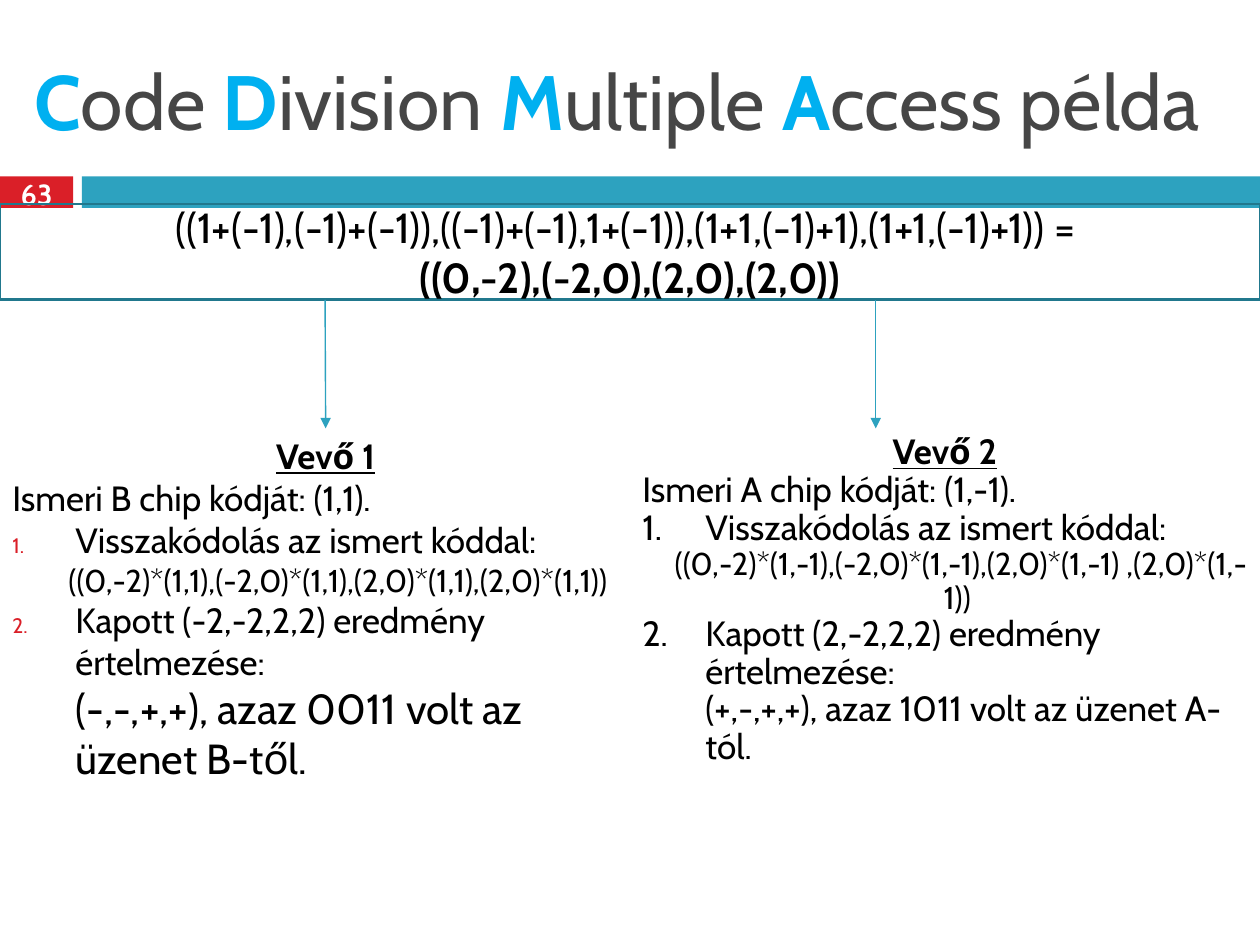
import pptx
import pptx.util
import pptx.dml.color
import pptx.enum.shapes
import pptx.enum.text
import pptx.oxml.ns
import lxml.etree

WIDTH, HEIGHT = 10, 7.5
FONT = "Cabin"
COLORS = {"accent": "2DA2BF", "edge": "21788D", "red": "DA1F28", "title": "464646",
          "initial": "00B0F0", "text": "000000", "white": "FFFFFF"}
ALIGN = pptx.enum.text.PP_ALIGN
ANCHOR = pptx.enum.text.MSO_ANCHOR
RECT = pptx.enum.shapes.MSO_SHAPE.RECTANGLE
inch = pptx.util.Inches

RECEIVERS = [
    {"box": (0, 3.4, 5.17, 3.85), "arrow": 2.58, "hang": -0.35, "spacing": None,
     "bullet": "red", "result_size": 24,
     "lines": ["Vevő 1", "Ismeri B chip kódját: (1,1).", "Visszakódolás az ismert kóddal:",
               "((0,-2)*(1,1),(-2,0)*(1,1),(2,0)*(1,1),(2,0)*(1,1)) ",
               "Kapott (-2,-2,2,2) eredmény értelmezése:",
               "(-,-,+,+), azaz 0011 volt az üzenet B-től."]},
    {"box": (5, 3.4, 5, 3.85), "arrow": 6.95, "hang": -0.25, "spacing": 0.9,
     "bullet": None, "result_size": 20,
     "lines": ["Vevő 2", "Ismeri A chip kódját: (1,-1).", "Visszakódolás az ismert kóddal:",
               "((0,-2)*(1,-1),(-2,0)*(1,-1),(2,0)*(1,-1) ,(2,0)*(1,-1)) ",
               "Kapott (2,-2,2,2) eredmény értelmezése:",
               "(+,-,+,+), azaz 1011 volt az üzenet A-tól."]},
]


def rgb(name):
    """Return the named colour."""
    return pptx.dml.color.RGBColor.from_string(COLORS[name])


def sub(parent, tag, **attrs):
    """Append a DrawingML element to its parent."""
    return lxml.etree.SubElement(parent, pptx.oxml.ns.qn(tag), attrs)


def add_run(p, text, size, color="text", bold=False, underline=False):
    """Add one formatted run to a paragraph."""
    r = p.add_run()
    r.text = text
    r.font.name, r.font.size = FONT, pptx.util.Pt(size)
    r.font.bold, r.font.underline = bold, underline
    r.font.color.rgb = rgb(color)


def set_indent(p, left, first, bullet=None, numbered=False):
    """Set paragraph indents and optional automatic numbering."""
    pPr = p._p.get_or_add_pPr()
    pPr.set("marL", str(inch(left)))
    pPr.set("indent", str(inch(first)))
    if not numbered:
        sub(pPr, "a:buNone")
        return
    if bullet:
        sub(sub(pPr, "a:buClr"), "a:srgbClr", val=COLORS[bullet])
        sub(pPr, "a:buSzPct", val="60000")
    sub(pPr, "a:buFont", typeface="+mj-lt")
    sub(pPr, "a:buAutoNum", type="arabicPeriod")


def add_rect(s, box, fill=None, line=None):
    """Add a plain rectangle."""
    sp = s.shapes.add_shape(RECT, *map(inch, box))
    sp.shadow.inherit = False
    if fill:
        sp.fill.solid()
        sp.fill.fore_color.rgb = rgb(fill)
    else:
        sp.fill.background()
    if line:
        sp.line.color.rgb, sp.line.width = rgb(line), pptx.util.Pt(1.5)
    else:
        sp.line.fill.background()
    return sp


def add_title(s, box):
    """Fill the title with highlighted initials."""
    sp = s.shapes.title
    sp.left, sp.top, sp.width, sp.height = map(inch, box)
    tf = sp.text_frame
    tf.auto_size = pptx.enum.text.MSO_AUTO_SIZE.NONE
    tf.vertical_anchor = ANCHOR.MIDDLE
    p = tf.paragraphs[0]
    p.alignment = ALIGN.LEFT
    for word in ("Code ", "Division ", "Multiple ", "Access példa"):
        add_run(p, word[0], 44, "initial", bold=True)
        add_run(p, word[1:], 44, "title")


def add_band(s, box):
    """Draw the page number block and the band beside it."""
    left, top, width, height = box
    number_width, gap = 0.58, 0.07
    start = left + number_width + gap
    add_rect(s, (left, top, number_width, height), "red")
    add_rect(s, (start, top, left + width - start, height), "accent")
    sp = s.shapes.add_textbox(*map(inch, (left, top - 0.03, number_width, 0.33)))
    tf = sp.text_frame
    tf.word_wrap = True
    tf.margin_left = tf.margin_right = tf.margin_top = tf.margin_bottom = 0
    tf.vertical_anchor = ANCHOR.MIDDLE
    p = tf.paragraphs[0]
    p.alignment = ALIGN.CENTER
    add_run(p, "63", 16.6, "white", bold=True)


def add_signal(s, box):
    """Add the outlined box with the summed signal."""
    tf = add_rect(s, box, line="edge").text_frame
    tf.word_wrap = True
    tf.vertical_anchor = ANCHOR.MIDDLE
    p = tf.paragraphs[0]
    p.alignment = ALIGN.CENTER
    add_run(p, "((1+(-1),(-1)+(-1)),((-1)+(-1),1+(-1)),(1+1,(-1)+1),(1+1,(-1)+1)) = ", 24)
    p.add_line_break()
    add_run(p, "((0,-2),(-2,0),(2,0),(2,0))", 24, bold=True)


def add_receiver(s, box, data):
    """Add the decoding steps of one receiver."""
    sp = s.shapes.add_textbox(*map(inch, box))
    tf = sp.text_frame
    tf.word_wrap = True
    hang, step = (0, data["hang"]), (0.5, -0.5)
    styles = [(20, 0, hang), (20, 0, hang), (20, 0, step), (18, 1, (0.25, 0)),
              (20, 0, step), (data["result_size"], 1, (0.5, 0))]
    for i, (text, (size, level, indent)) in enumerate(zip(data["lines"], styles)):
        p = tf.paragraphs[0] if i == 0 else tf.add_paragraph()
        p.level = level
        p.alignment = ALIGN.CENTER if i in (0, 3) else ALIGN.LEFT
        if data["spacing"]:
            p.line_spacing = data["spacing"]
        set_indent(p, *indent, bullet=data["bullet"], numbered=indent == step)
        add_run(p, text, size, bold=i == 0, underline=i == 0)
    return sp


def add_arrow(s, x, top, bottom):
    """Add a thin downward arrow."""
    c = s.shapes.add_connector(pptx.enum.shapes.MSO_CONNECTOR.STRAIGHT,
                               *map(inch, (x, top, x, bottom)))
    c.line.color.rgb, c.line.width = rgb("accent"), pptx.util.Pt(0.79)
    sub(c.line._get_or_add_ln(), "a:tailEnd", type="triangle")
    sub(c._element.spPr, "a:effectLst")
    return c


def main():
    """Build and save the slide."""
    prs = pptx.Presentation()
    prs.slide_width, prs.slide_height = inch(WIDTH), inch(HEIGHT)
    s = prs.slides.add_slide(prs.slide_layouts[5])
    signal = (0, 1.62, WIDTH, 0.76)
    add_title(s, (0.17, 0.25, 9.67, 1.08))
    add_band(s, (0, 1.4, WIDTH, 0.25))
    add_signal(s, signal)
    for data in RECEIVERS:
        left, top, width, _ = data["box"]
        sp = add_receiver(s, data["box"], data)
        c = add_arrow(s, data["arrow"], signal[1] + signal[3], top)
        if abs(left + width / 2 - data["arrow"]) < 0.01:
            c.end_connect(sp, 0)
    prs.save("out.pptx")


if __name__ == "__main__":
    main()
